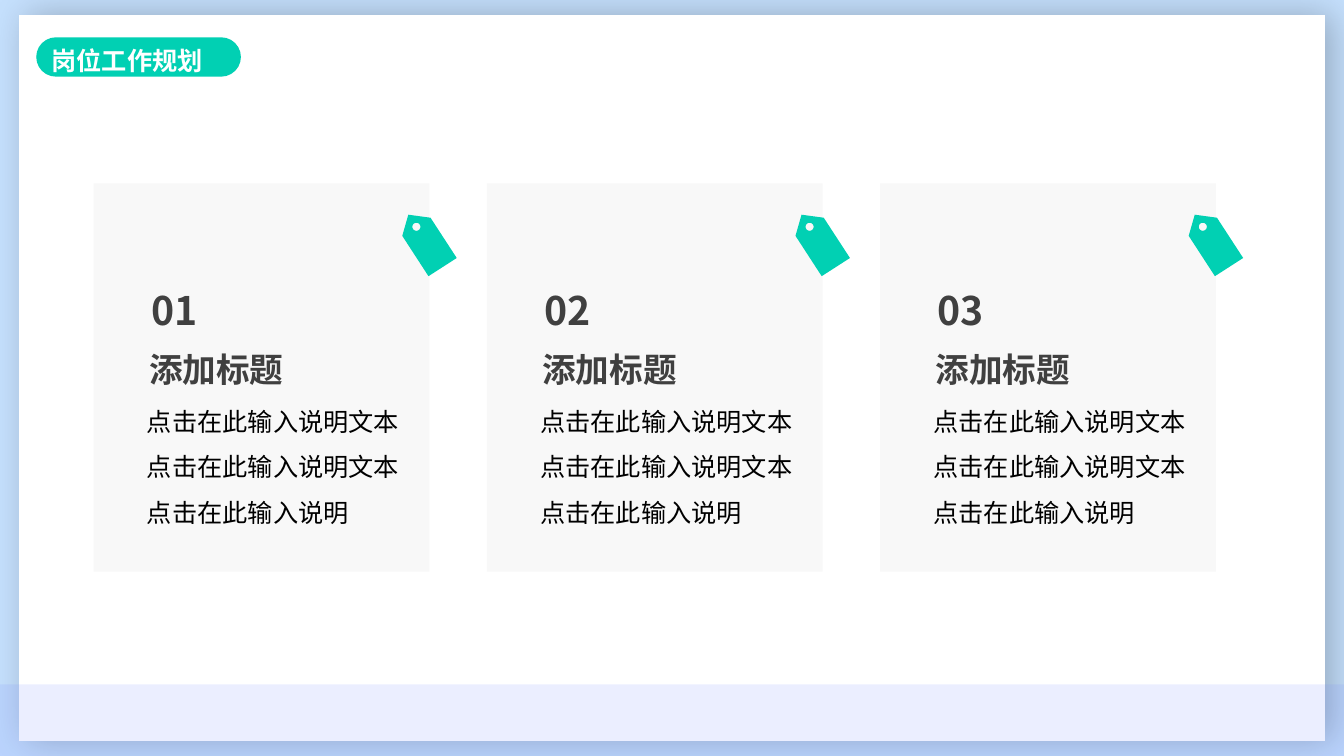
"""Build the job planning slide with three tagged cards."""
import math
from lxml import etree
from pptx import Presentation, util as u
from pptx.dml.color import RGBColor
from pptx.enum import shapes, text
from pptx.oxml.ns import qn

COLORS = {"sky": "C5E0FD", "white": "FFFFFF", "band": "7889FF", "teal": "01D0B3",
          "card": "BFBFBF", "heading": "404040", "body": "000000"}
FONT = "Noto Sans CJK SC"
RECT = shapes.MSO_SHAPE.RECTANGLE
PILL = shapes.MSO_SHAPE.ROUNDED_RECTANGLE


def paint(shape, color, alpha=None):
    shape.shadow.inherit = False
    shape.line.fill.background()
    shape.fill.solid()
    shape.fill.fore_color.rgb = RGBColor.from_string(COLORS[color])
    if alpha:
        clr = shape.fill._xPr.find(qn("a:solidFill"))[0]
        etree.SubElement(clr, qn("a:alpha"), val=str(alpha * 1000))


def write(box, words, size, color, bold=False, spacing=1.0,
          anchor=text.MSO_ANCHOR.MIDDLE, align=text.PP_ALIGN.LEFT):
    frame = box.text_frame
    frame.word_wrap = True
    frame.auto_size = text.MSO_AUTO_SIZE.NONE
    frame.vertical_anchor = anchor
    para = frame.paragraphs[0]
    para.alignment = align
    para.line_spacing = spacing
    para.space_before = u.Pt(0)
    span = para.add_run()
    span.text = words
    span.font.name = FONT
    span.font.size = u.Pt(size)
    span.font.bold = bold
    span.font.color.rgb = RGBColor.from_string(COLORS[color])
    etree.SubElement(span.font._element, qn("a:ea"), typeface=FONT)


deck = Presentation()
deck.slide_width, deck.slide_height = u.Inches(13.33), u.Inches(7.5)
page = deck.slides.add_slide(deck.slide_layouts[5])
page.background.fill.solid()
page.background.fill.fore_color.rgb = RGBColor.from_string(COLORS["sky"])

panel = page.shapes.add_shape(RECT, *map(u.Inches, (0.19, 0.15, 12.95, 7.2)))
paint(panel, "white")
effects = panel._element.spPr.find(qn("a:effectLst"))
shadow = etree.SubElement(effects, qn("a:outerShdw"), blurRad=str(u.Pt(26)),
                          dist=str(u.Pt(6)), dir="0", algn="ctr", rotWithShape="0")
shade = etree.SubElement(shadow, qn("a:srgbClr"), val="000000")
etree.SubElement(shade, qn("a:alpha"), val="24000")

band = page.shapes.add_shape(RECT, *map(u.Inches, (0, 6.79, 13.33, 0.71)))
paint(band, "band", alpha=14)

pill = page.shapes.add_shape(PILL, *map(u.Inches, (0.36, 0.37, 2.03, 0.39)))
pill.adjustments[0] = 0.5
paint(pill, "teal")

title = page.shapes.title
title.left, title.top, title.width, title.height = map(u.Inches, (0.41, 0.4, 1.91, 0.42))
write(title, "岗位工作规划", 18, "white", bold=True,
      anchor=text.MSO_ANCHOR.TOP, align=text.PP_ALIGN.JUSTIFY)
page.shapes._spTree.append(title._element)

TAG = [(3.12, 0.31), (3.34, 0.34), (3.6, 0.74), (3.32, 0.92), (3.06, 0.52)]
HOLE = [(3.2 + 0.04 * math.cos(turn), 0.43 - 0.04 * math.sin(turn))
        for turn in (math.tau * step / 24 for step in range(24))]
BODY = "点击在此输入说明文本" * 2 + "点击在此输入说明"

for index in range(3):
    left, top = 0.93 + 3.9 * index, 1.82
    card = page.shapes.add_shape(RECT, *map(u.Inches, (left, top, 3.33, 3.85)))
    paint(card, "card", alpha=10)

    outline, hole = ([(u.Inches(left + x), u.Inches(top + y)) for x, y in points]
                     for points in (TAG, HOLE))
    builder = page.shapes.build_freeform(*outline[0])
    builder.add_line_segments(outline[1:])
    builder.move_to(*hole[0])
    builder.add_line_segments(hole[1:])
    paint(builder.convert_to_shape(), "teal")

    body = page.shapes.add_textbox(*map(u.Inches, (left + 0.43, 3.83, 2.86, 1.46)))
    write(body, BODY, 18, "body", spacing=1.5, anchor=text.MSO_ANCHOR.TOP)
    heading = page.shapes.add_textbox(*map(u.Inches, (left + 0.45, 3.41, 2.56, 0.5)))
    write(heading, "添加标题", 24, "heading", bold=True)
    number = page.shapes.add_textbox(*map(u.Inches, (left + 0.47, 2.79, 2.56, 0.57)))
    write(number, f"{index + 1:02d}", 28, "heading", bold=True)

deck.save("out.pptx")
